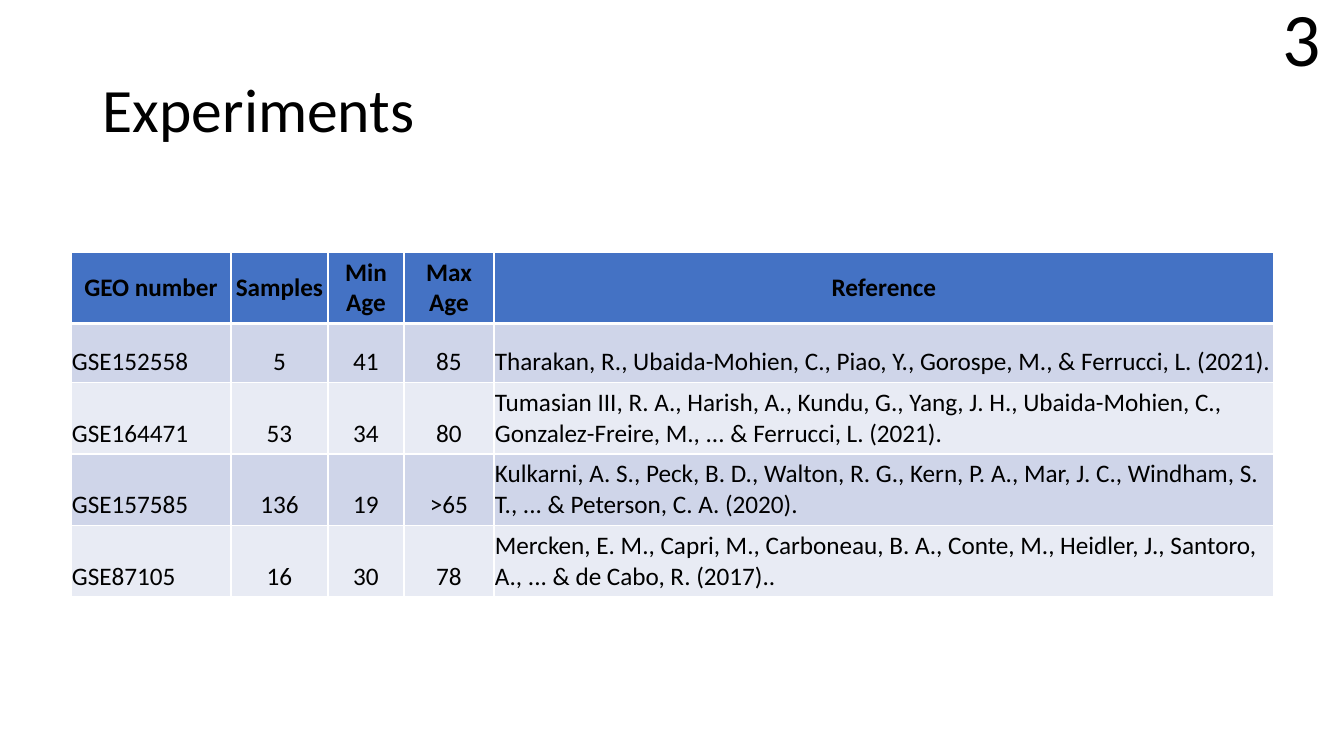
from dataclasses import dataclass

from lxml.etree import SubElement
from pptx import Presentation
from pptx.dml.color import RGBColor
from pptx.enum.text import MSO_ANCHOR, MSO_AUTO_SIZE, PP_ALIGN
from pptx.oxml.ns import qn
from pptx.util import Emu, Pt


@dataclass(frozen=True)
class Theme:
    font: str = "Calibri"
    text: str = "000000"
    header_fill: str = "4472C4"
    band_fills: tuple = ("CFD5E9", "E8EBF4")
    border: str = "FFFFFF"
    title_size: int = 44
    table_size: int = 18
    number_size: int = 54
    thin_border: float = 0.96
    thick_border: float = 3


THEME = Theme()
PX_PER_INCH = 100.8

HEADERS = ["GEO number", "Samples", "Min Age", "Max Age", "Reference"]
COLUMN_WIDTHS = [160, 97, 76, 90, 780]
ROW_HEIGHT = 59
CENTERED_COLUMNS = (1, 2, 3)
EXPERIMENTS = [
    ["GSE152558", "5", "41", "85",
     "Tharakan, R., Ubaida-Mohien, C., Piao, Y., Gorospe, M., & Ferrucci, L. (2021)."],
    ["GSE164471", "53", "34", "80",
     "Tumasian III, R. A., Harish, A., Kundu, G., Yang, J. H., Ubaida-Mohien, C., "
     "Gonzalez-Freire, M., ... & Ferrucci, L. (2021)."],
    ["GSE157585", "136", "19", ">65",
     "Kulkarni, A. S., Peck, B. D., Walton, R. G., Kern, P. A., Mar, J. C., "
     "Windham, S. T., ... & Peterson, C. A. (2020)."],
    ["GSE87105", "16", "30", "78",
     "Mercken, E. M., Capri, M., Carboneau, B. A., Conte, M., Heidler, J., "
     "Santoro, A., ... & de Cabo, R. (2017).."],
]


def px(length):
    return Emu(round(length * 914400 / PX_PER_INCH))


def write_text(text_frame, text, *, size, bold=False, align=PP_ALIGN.LEFT, line_spacing=None):
    paragraph = text_frame.paragraphs[0]
    paragraph.alignment = align
    paragraph.line_spacing = line_spacing
    run = paragraph.add_run()
    run.text = text
    run.font.name = THEME.font
    run.font.size = Pt(size)
    run.font.bold = bold
    run.font.color.rgb = RGBColor.from_string(THEME.text)


def add_text_box(slide, left, top, width, height, text, *, wrap=True,
                 anchor=MSO_ANCHOR.TOP, auto_size=MSO_AUTO_SIZE.NONE, **text_format):
    box = slide.shapes.add_textbox(px(left), px(top), px(width), px(height))
    text_frame = box.text_frame
    text_frame.word_wrap = wrap
    text_frame.auto_size = auto_size
    text_frame.vertical_anchor = anchor
    write_text(text_frame, text, **text_format)


def set_borders(cell, top, bottom):
    properties = cell._tc.get_or_add_tcPr()
    widths = {"a:lnL": THEME.thin_border, "a:lnR": THEME.thin_border,
              "a:lnT": top, "a:lnB": bottom}
    for tag, width in widths.items():
        line = SubElement(properties, qn(tag), w=str(Pt(width)))
        fill = SubElement(line, qn("a:solidFill"))
        SubElement(fill, qn("a:srgbClr"), val=THEME.border)


def format_cell(cell, text, row, column):
    is_header = row == 0
    cell.margin_left = cell.margin_right = px(1)
    cell.margin_top = cell.margin_bottom = px(5)
    cell.vertical_anchor = MSO_ANCHOR.MIDDLE if is_header else MSO_ANCHOR.BOTTOM
    set_borders(cell,
                top=THEME.thick_border if row == 1 else THEME.thin_border,
                bottom=THEME.thick_border if is_header else THEME.thin_border)
    cell.fill.solid()
    color = THEME.header_fill if is_header else THEME.band_fills[(row - 1) % 2]
    cell.fill.fore_color.rgb = RGBColor.from_string(color)
    centered = is_header or column in CENTERED_COLUMNS
    write_text(cell.text_frame, text, size=THEME.table_size, bold=is_header,
               align=PP_ALIGN.CENTER if centered else PP_ALIGN.LEFT)


def add_experiment_table(slide, left, top):
    rows = [HEADERS, *EXPERIMENTS]
    frame = slide.shapes.add_table(len(rows), len(HEADERS), px(left), px(top),
                                   px(sum(COLUMN_WIDTHS)), px(ROW_HEIGHT * len(rows)))
    table = frame.table
    for column, width in zip(table.columns, COLUMN_WIDTHS):
        column.width = px(width)
    for row_index, values in enumerate(rows):
        table.rows[row_index].height = px(ROW_HEIGHT)
        for column_index, text in enumerate(values):
            format_cell(table.cell(row_index, column_index), text, row_index, column_index)


def main():
    presentation = Presentation()
    presentation.slide_width = px(1344)
    presentation.slide_height = px(756)
    slide = presentation.slides.add_slide(presentation.slide_layouts[6])

    # Title
    add_text_box(slide, 93, 40, 1159, 146, "Experiments", size=THEME.title_size,
                 anchor=MSO_ANCHOR.MIDDLE, line_spacing=0.9)

    # Data sets
    add_experiment_table(slide, 71, 252)

    # Slide number
    add_text_box(slide, 1268, -14, 68, 101, "3", size=THEME.number_size, wrap=False,
                 auto_size=MSO_AUTO_SIZE.SHAPE_TO_FIT_TEXT, align=PP_ALIGN.CENTER)

    presentation.save("out.pptx")


if __name__ == "__main__":
    main()
